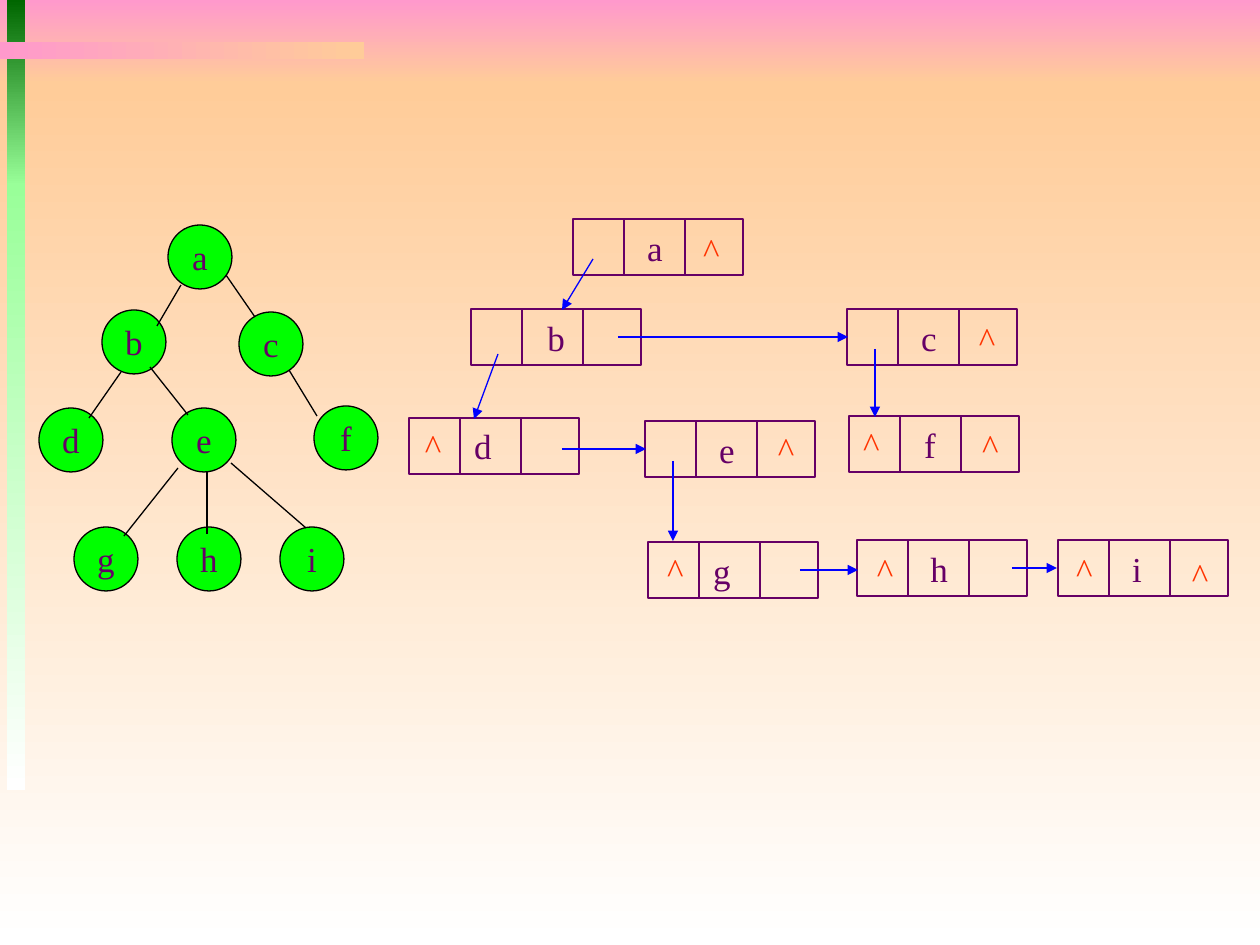
from lxml.etree import SubElement
from pptx import Presentation
from pptx.dml.color import RGBColor
from pptx.enum.shapes import MSO_CONNECTOR, MSO_SHAPE
from pptx.enum.text import MSO_ANCHOR, PP_ALIGN
from pptx.oxml.ns import qn
from pptx.util import Emu, Pt

SCALE = 914400 / 126
FONT = "Times New Roman"
PINK = RGBColor(0xFF, 0x99, 0xCC)
PEACH = RGBColor(0xFF, 0xCC, 0x99)
WHITE = RGBColor(0xFF, 0xFF, 0xFF)
FOREST = RGBColor(0x00, 0x66, 0x00)
MINT = RGBColor(0x99, 0xFF, 0x99)
LIME = RGBColor(0x00, 0xFF, 0x00)
BLACK = RGBColor(0x00, 0x00, 0x00)
PLUM = RGBColor(0x66, 0x00, 0x66)
BLUE = RGBColor(0x00, 0x00, 0xFF)
RED = RGBColor(0xFF, 0x33, 0x00)

BANDS = [
    ((0, 0, 1260, 84), PINK, PEACH, 270),
    ((0, 84, 1260, 861), PEACH, WHITE, 270),
    ((7, 0, 18, 186), FOREST, MINT, 270),
    ((7, 184, 18, 606), MINT, WHITE, 270),
    ((0, 42, 364, 17), PINK, PEACH, 0),
]
NODES = {
    "a": (168, 225), "b": (102, 310), "c": (239, 312),
    "d": (39, 408), "e": (172, 408), "f": (314, 406),
    "g": (74, 527), "h": (177, 527), "i": (280, 527),
}
EDGES = [
    (181, 285, 157, 326), (121, 372, 89, 418), (226, 275, 255, 317),
    (150, 367, 188, 415), (289, 370, 317, 416), (207, 472, 207, 534),
    (178, 468, 124, 536), (231, 463, 306, 528),
]
CELLS = {
    "a": (573, 219, 3), "b": (471, 309, 0), "c": (847, 309, 3),
    "d": (409, 418, 11), "e": (645, 421, 3), "f": (849, 416, 4),
    "g": (648, 542, 11), "h": (857, 540, 3), "i": (1058, 540, 6),
}
LINKS = [
    (593, 259, 562, 310), (498, 354, 474, 419), (618, 337, 848, 337),
    (562, 449, 646, 449), (673, 461, 673, 541), (800, 570, 858, 570),
    (1012, 568, 1057, 568), (875, 349, 875, 417),
]
NULLS = [
    (969, 418), (690, 222), (966, 311), (412, 418), (765, 421),
    (850, 416), (654, 542), (864, 542), (1063, 542), (1179, 547),
]


def px(*sizes):
    """Turn pixel lengths into EMU."""
    return [Emu(round(size * SCALE)) for size in sizes]


def write(shape, text, color=PLUM, size=20, shift=0):
    """Write centred text, moved left by shift pixels."""
    frame = shape.text_frame
    frame.word_wrap = False
    frame.vertical_anchor = MSO_ANCHOR.MIDDLE
    frame.margin_left, frame.margin_right = px(13, 13 + 2 * shift)
    para = frame.paragraphs[0]
    para.alignment = PP_ALIGN.CENTER
    run = para.add_run()
    run.text = text
    run.font.name = FONT
    run.font.size = Pt(size)
    run.font.color.rgb = color


def add_band(slide, box, start, end, angle):
    """Add a borderless gradient band."""
    band = slide.shapes.add_shape(MSO_SHAPE.RECTANGLE, *px(*box))
    band.shadow.inherit = False
    band.line.fill.background()
    band.fill.gradient()
    band.fill.gradient_angle = angle
    for stop, color in zip(band.fill.gradient_stops, (start, end)):
        stop.color.rgb = color


def add_line(slide, ends, color, arrow=False):
    """Add a thin straight line, with an arrowhead if asked."""
    line = slide.shapes.add_connector(MSO_CONNECTOR.STRAIGHT, *px(*ends))
    line.line.color.rgb = color
    line.line.width = Pt(0.75)
    if arrow:
        SubElement(line.line._get_or_add_ln(), qn("a:tailEnd"), type="triangle")
    SubElement(line._element.spPr, qn("a:effectLst"))


def add_box(slide, kind, box, edge, fill=None):
    """Add an outlined shape, filled or clear."""
    shape = slide.shapes.add_shape(kind, *px(*box))
    shape.shadow.inherit = False
    shape.line.color.rgb = edge
    shape.line.width = Pt(0.75)
    if fill is None:
        shape.fill.background()
    else:
        shape.fill.solid()
        shape.fill.fore_color.rgb = fill
    return shape


def add_node(slide, name, left, top):
    """Add a round tree node."""
    node = add_box(slide, MSO_SHAPE.OVAL, (left, top, 64, 64), BLACK, LIME)
    write(node, name)


def add_cell(slide, name, left, top, shift):
    """Add a list cell split into three fields."""
    cell = add_box(slide, MSO_SHAPE.RECTANGLE, (left, top, 170, 56), PLUM)
    write(cell, name, shift=shift)
    for x in (left + 51, left + 112):
        add_line(slide, (x, top, x, top + 56), PLUM)


def add_null(slide, left, top):
    """Add a null pointer mark."""
    write(slide.shapes.add_textbox(*px(left, top, 42, 55)), "^", color=RED)


def main():
    """Build the tree and its linked cells."""
    deck = Presentation()
    deck.slide_width, deck.slide_height = px(1260, 945)
    slide = deck.slides.add_slide(deck.slide_layouts[6])
    for band in BANDS:
        add_band(slide, *band)
    for name, spot in NODES.items():
        add_node(slide, name, *spot)
    for ends in EDGES:
        add_line(slide, ends, BLACK)
    for name, spot in CELLS.items():
        add_cell(slide, name, *spot)
    for ends in LINKS:
        add_line(slide, ends, BLUE, arrow=True)
    for spot in NULLS:
        add_null(slide, *spot)
    deck.save("out.pptx")


if __name__ == "__main__":
    main()
